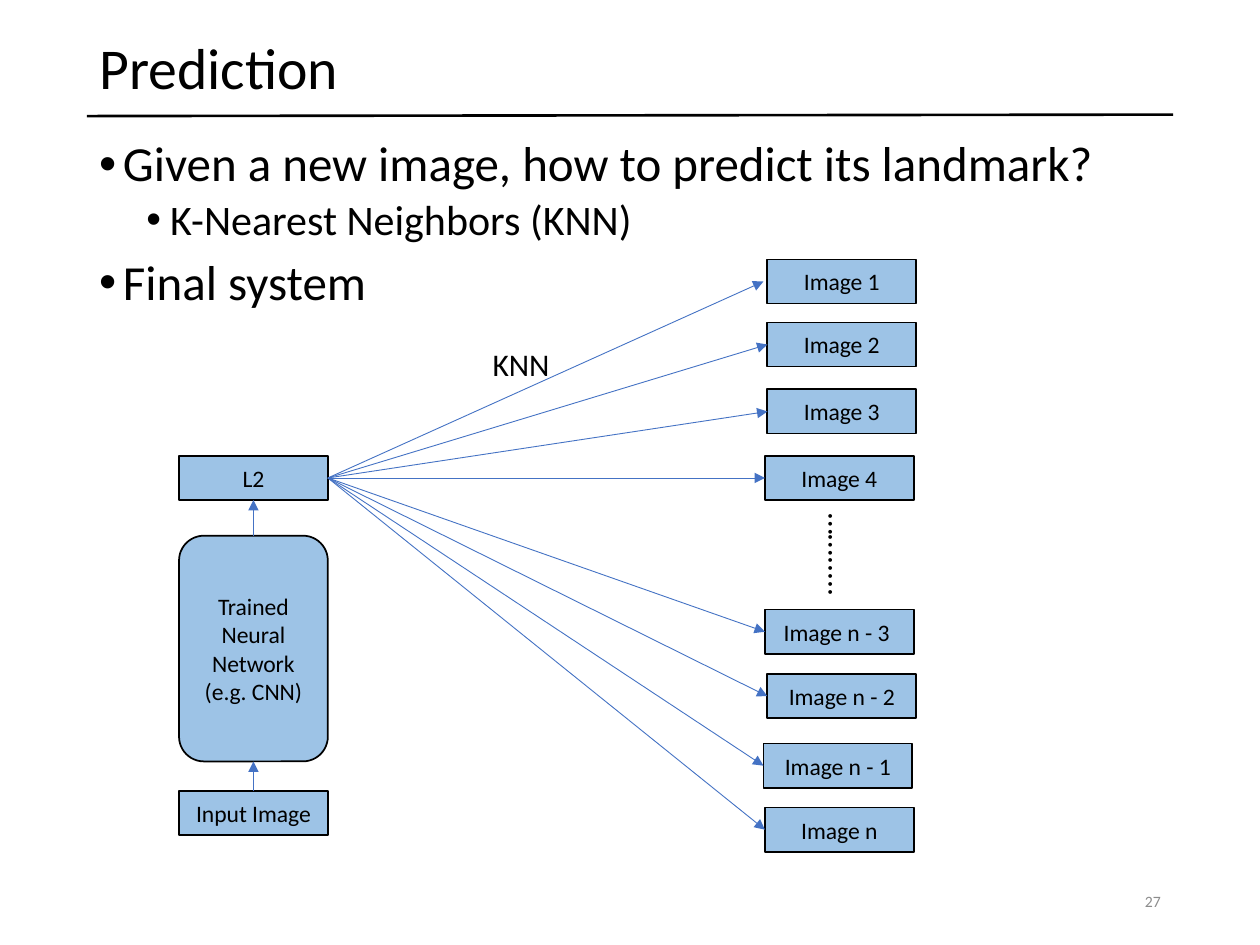
from dataclasses import dataclass

from lxml.etree import SubElement
from pptx import Presentation
from pptx.dml.color import RGBColor
from pptx.enum.shapes import MSO_CONNECTOR, MSO_SHAPE
from pptx.enum.text import MSO_ANCHOR, MSO_AUTO_SIZE, PP_ALIGN
from pptx.oxml.ns import qn
from pptx.slide import Slide
from pptx.util import Cm, Pt

COLORS = {"ink": "000000", "fill": "9DC3E6", "arrow": "4472C4", "page": "8C8C8C"}
FONT = "Calibri"
WIDTH, HEIGHT = 3.0, 0.89


@dataclass
class Box:
    x: float
    y: float
    lines: tuple[str, ...]
    h: float = HEIGHT
    kind: int = MSO_SHAPE.RECTANGLE
    gap: float = 0

    @property
    def mid(self) -> float:
        return self.x + WIDTH / 2

    @property
    def row(self) -> float:
        return self.y + self.h / 2


@dataclass
class Point:
    text: str
    size: float
    level: int = 0
    before: float = 0


@dataclass
class Label:
    x: float
    y: float
    w: float
    text: str
    size: float = 18
    color: str = "ink"
    align: int = PP_ALIGN.LEFT
    turn: float = 0


NET = Box(3.61, 10.8, ("Trained Neural Network", "(e.g. CNN)"), 4.55,
          MSO_SHAPE.ROUNDED_RECTANGLE)
INPUT = Box(3.61, 15.95, ("Input Image",))
CODE = Box(3.61, 9.19, ("L2",))
IMAGES = [
    Box(15.47, 5.23, ("Image 1",), gap=0.08),
    Box(15.47, 6.5, ("Image 2",)),
    Box(15.47, 7.85, ("Image 3",)),
    Box(15.42, 9.19, ("Image 4",)),
    Box(15.42, 12.29, ("Image n - 3 ",)),
    Box(15.47, 13.59, ("Image n - 2",)),
    Box(15.39, 14.99, ("Image n - 1",)),
    Box(15.42, 16.28, ("Image n",)),
]
POINTS = [
    Point("Given a new image, how to predict its landmark?", 28),
    Point("K-Nearest Neighbors (KNN)", 24, 1, 3.8),
    Point("Final system", 28, 0, 7.5),
]
LABELS = [
    Label(15.85, 10.69, 2.21, "…….....", turn=90),
    Label(9.68, 6.83, 1.78, "KNN"),
    Label(17.93, 17.65, 5.72, "27", 9, "page", PP_ALIGN.RIGHT),
]


def rgb(name: str) -> RGBColor:
    return RGBColor.from_string(COLORS[name])


def write(para, text: str, size: float, color: str = "ink") -> None:
    run = para.add_run()
    run.text = text
    run.font.name = FONT
    run.font.size = Pt(size)
    run.font.color.rgb = rgb(color)


def draw_line(slide: Slide, start: tuple, end: tuple, color: str = "arrow",
              width: float = 0.5, head: bool = True) -> None:
    line = slide.shapes.add_connector(
        MSO_CONNECTOR.STRAIGHT, *map(Cm, start), *map(Cm, end))
    line.line.color.rgb = rgb(color)
    line.line.width = Pt(width)
    if head:
        SubElement(line.line._get_or_add_ln(), qn("a:tailEnd"), type="triangle")
    SubElement(line._element.spPr, qn("a:effectLst"))


def draw_box(slide: Slide, box: Box) -> None:
    shape = slide.shapes.add_shape(
        box.kind, Cm(box.x), Cm(box.y), Cm(WIDTH), Cm(box.h))
    shape.shadow.inherit = False
    shape.fill.solid()
    shape.fill.fore_color.rgb = rgb("fill")
    shape.line.color.rgb = rgb("ink")
    shape.line.width = Pt(1)
    frame = shape.text_frame
    frame.word_wrap = True
    frame.vertical_anchor = MSO_ANCHOR.MIDDLE
    for i, text in enumerate(box.lines):
        para = frame.add_paragraph() if i else frame.paragraphs[0]
        para.alignment = PP_ALIGN.CENTER
        write(para, text, 13.5)


def draw_title(slide: Slide, text: str) -> None:
    title = slide.shapes.title
    title.left, title.top, title.width, title.height = map(
        Cm, (1.75, 0.51, 21.9, 1.83))
    frame = title.text_frame
    frame.auto_size = MSO_AUTO_SIZE.NONE
    frame.vertical_anchor = MSO_ANCHOR.MIDDLE
    para = frame.paragraphs[0]
    para.alignment = PP_ALIGN.LEFT
    para.line_spacing = 0.9
    write(para, text, 33)


def draw_points(slide: Slide, points: list[Point]) -> None:
    body = slide.shapes.add_textbox(*map(Cm, (1.75, 2.69, 21.9, 14.48)))
    frame = body.text_frame
    frame.word_wrap = True
    for i, point in enumerate(points):
        para = frame.add_paragraph() if i else frame.paragraphs[0]
        para.level = point.level
        props = para._p.get_or_add_pPr()
        props.set("marL", str(Cm(0.48 + 0.95 * point.level)))
        props.set("indent", str(-Cm(0.48)))
        SubElement(props, qn("a:buFont"), typeface="Arial")
        SubElement(props, qn("a:buChar"), char="•")
        para.line_spacing = 0.9
        para.space_before = Pt(point.before)
        write(para, point.text, point.size)


def draw_label(slide: Slide, label: Label) -> None:
    shape = slide.shapes.add_textbox(
        Cm(label.x), Cm(label.y), Cm(label.w), Cm(1.02))
    shape.rotation = label.turn
    frame = shape.text_frame
    frame.word_wrap = True
    frame.vertical_anchor = MSO_ANCHOR.MIDDLE
    para = frame.paragraphs[0]
    para.alignment = label.align
    write(para, label.text, label.size, label.color)


def main() -> None:
    deck = Presentation()
    deck.slide_width, deck.slide_height = Cm(25.4), Cm(19.05)
    slide = deck.slides.add_slide(deck.slide_layouts[5])
    draw_line(slide, (1.75, 2.34), (23.65, 2.31), "ink", 1.5, False)
    draw_title(slide, "Prediction")
    draw_points(slide, POINTS)
    for box in (NET, INPUT, CODE, *IMAGES):
        draw_box(slide, box)
    for low, high in ((NET, CODE), (INPUT, NET)):
        draw_line(slide, (low.mid, low.y), (high.mid, high.y + high.h))
    for box in IMAGES:
        draw_line(slide, (CODE.x + WIDTH, CODE.row), (box.x - box.gap, box.row))
    for label in LABELS:
        draw_label(slide, label)
    deck.save("out.pptx")


if __name__ == "__main__":
    main()
